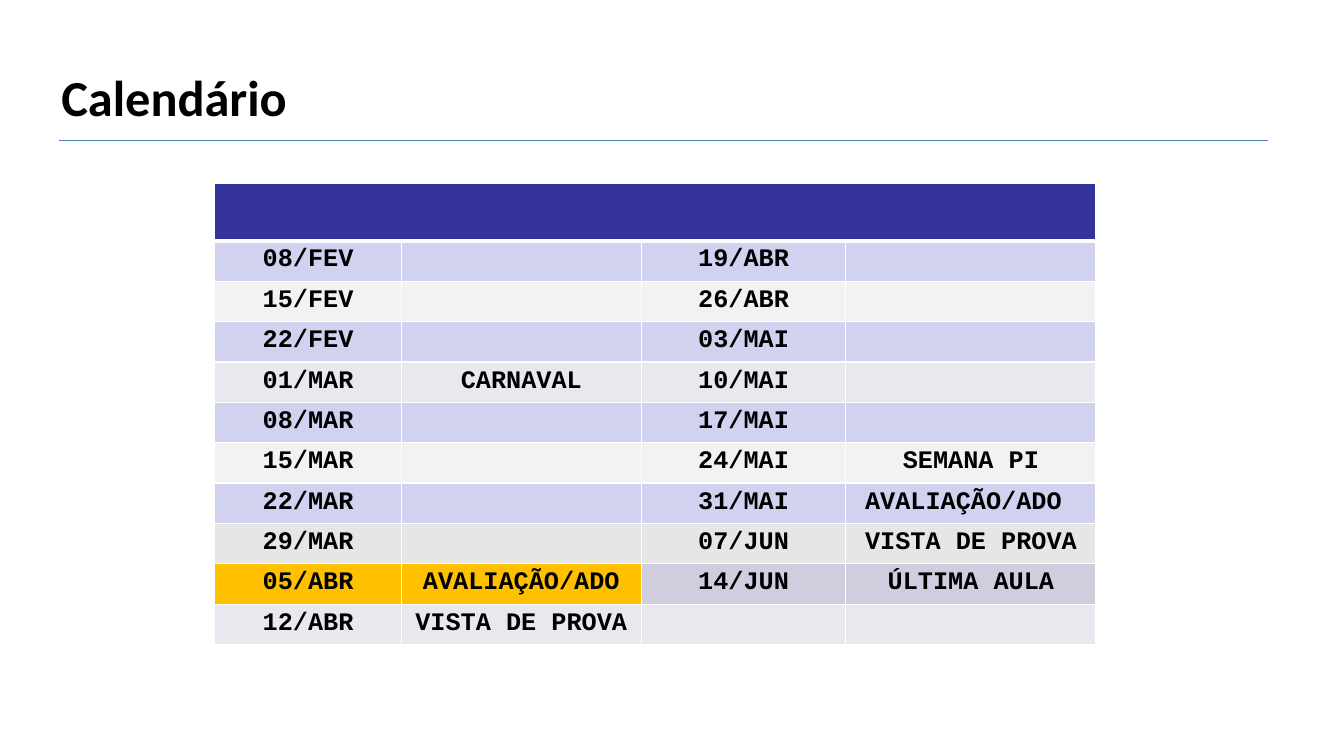
from lxml import etree
from pptx import Presentation, util as u
from pptx.dml.color import RGBColor
from pptx.enum import shapes, text
from pptx.oxml.ns import qn

TITLE = "Calendário"
HEADER_FILL, HIGHLIGHT = "333399", "FFC000"
LILAC, PALE, MIST, GRAY, DUSK = "D1D1F0", "F2F2F2", "E8E8EF", "E6E6E6", "CECEDE"
COLUMNS = [1.85, 2.38, 2.03, 2.48]
HEADER_HEIGHT, ROW_HEIGHT = 0.57, 0.4
SCHEDULE = [
    (LILAC, "08/FEV", "", "19/ABR", ""),
    (PALE, "15/FEV", "", "26/ABR", ""),
    (LILAC, "22/FEV", "", "03/MAI", ""),
    (MIST, "01/MAR", "CARNAVAL", "10/MAI", ""),
    (LILAC, "08/MAR", "", "17/MAI", ""),
    (PALE, "15/MAR", "", "24/MAI", "SEMANA PI"),
    (LILAC, "22/MAR", "", "31/MAI", "AVALIAÇÃO/ADO "),
    (GRAY, "29/MAR", "", "07/JUN", "VISTA DE PROVA"),
    (DUSK, "05/ABR", "AVALIAÇÃO/ADO", "14/JUN", "ÚLTIMA AULA"),
    (MIST, "12/ABR", "VISTA DE PROVA", "", ""),
]
HIGHLIGHTED = {"05/ABR": (0, 1)}


def color(value):
    return RGBColor.from_string(value)


def add_text(para, words, size, font):
    span = para.add_run()
    span.text = words
    span.font.size = u.Pt(size)
    span.font.name = font
    span.font.bold = True
    span.font.color.rgb = color("000000")


def style_cell(cell, fill, bottom=1):
    properties = cell._tc.get_or_add_tcPr()
    for side, width in (("L", 1), ("R", 1), ("T", 1), ("B", bottom)):
        border = etree.SubElement(properties, qn("a:ln" + side), w=str(u.Pt(width)))
        solid = etree.SubElement(border, qn("a:solidFill"))
        etree.SubElement(solid, qn("a:srgbClr"), val="FFFFFF")
    cell.fill.solid()
    cell.fill.fore_color.rgb = color(fill)
    cell.margin_left = cell.margin_right = u.Inches(0.1)
    cell.margin_top = cell.margin_bottom = u.Inches(0.05)


def add_title(page):
    box = page.shapes.add_textbox(*map(u.Inches, (0.51, 0.6, 8.99, 0.71)))
    frame = box.text_frame
    frame.word_wrap = True
    frame.vertical_anchor = text.MSO_ANCHOR.MIDDLE
    add_text(frame.paragraphs[0], TITLE, 36, "Calibri")
    rule = page.shapes.add_connector(
        shapes.MSO_CONNECTOR.STRAIGHT, *map(u.Inches, (0.59, 1.39, 12.58, 1.39)))
    rule.line.color.rgb = color("4A7DBA")
    rule.line.width = u.Pt(0.75)
    etree.SubElement(rule._element.spPr, qn("a:effectLst"))


def add_calendar(page):
    heights = [HEADER_HEIGHT] + [ROW_HEIGHT] * len(SCHEDULE)
    calendar = page.shapes.add_table(
        len(heights), len(COLUMNS), u.Inches(2.13), u.Inches(1.82),
        u.Inches(sum(COLUMNS)), u.Inches(sum(heights))).table
    for column, width in zip(calendar.columns, COLUMNS):
        column.width = u.Inches(width)
    for row, height in zip(calendar.rows, heights):
        row.height = u.Inches(height)
    for cell in calendar.rows[0].cells:
        style_cell(cell, HEADER_FILL, bottom=3)
    calendar.cell(0, 0).merge(calendar.cell(0, len(COLUMNS) - 1))
    for row, (fill, *entries) in enumerate(SCHEDULE, 1):
        marked = HIGHLIGHTED.get(entries[0], ())
        for column, words in enumerate(entries):
            cell = calendar.cell(row, column)
            style_cell(cell, HIGHLIGHT if column in marked else fill)
            if words:
                para = cell.text_frame.paragraphs[0]
                para.alignment = text.PP_ALIGN.CENTER
                add_text(para, words, 18, "Courier New")


def main():
    deck = Presentation()
    deck.slide_width, deck.slide_height = u.Inches(13.33), u.Inches(7.5)
    page = deck.slides.add_slide(deck.slide_layouts[6])
    add_title(page)
    add_calendar(page)
    deck.save("out.pptx")


if __name__ == "__main__":
    main()
